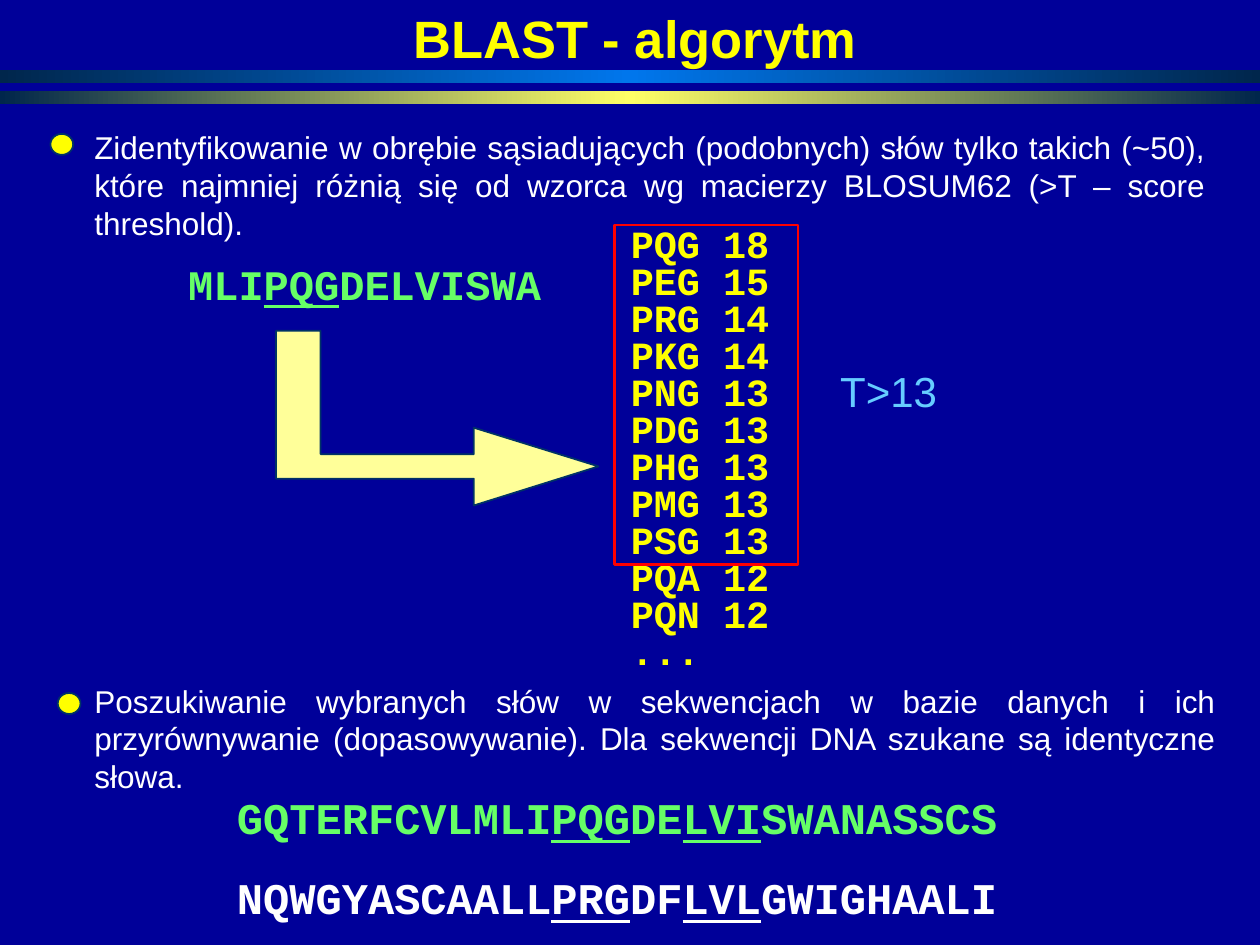
from copy import deepcopy
from dataclasses import dataclass

from pptx import Presentation
from pptx.dml.color import RGBColor
from pptx.enum.shapes import MSO_SHAPE
from pptx.enum.text import PP_ALIGN
from pptx.oxml.ns import qn
from pptx.util import Pt

RECTANGLE, OVAL = MSO_SHAPE.RECTANGLE, MSO_SHAPE.OVAL
LEFT, CENTER, JUSTIFY = PP_ALIGN.LEFT, PP_ALIGN.CENTER, PP_ALIGN.JUSTIFY


@dataclass(frozen=True)
class Theme:
    background: RGBColor = RGBColor(0x00, 0x00, 0x99)
    yellow: RGBColor = RGBColor(0xFF, 0xFF, 0x00)
    white: RGBColor = RGBColor(0xFF, 0xFF, 0xFF)
    green: RGBColor = RGBColor(0x66, 0xFF, 0x66)
    sky: RGBColor = RGBColor(0x66, 0xCC, 0xFF)
    red: RGBColor = RGBColor(0xFF, 0x00, 0x00)
    cream: RGBColor = RGBColor(0xFF, 0xFF, 0x99)
    outline: RGBColor = RGBColor(0x00, 0x33, 0x66)
    bar_edge: RGBColor = RGBColor(0x00, 0x26, 0x4C)
    bar_blue: RGBColor = RGBColor(0x00, 0x76, 0xEC)
    bar_yellow: RGBColor = RGBColor(0xFF, 0xFF, 0x66)
    sans: str = "Arial"
    mono: str = "Courier New"
    title: int = 30
    query: int = 24
    words: int = 22
    body: int = 18
    hits: int = 25


theme = Theme()

presentation = Presentation()
presentation.slide_width, presentation.slide_height = Pt(720), Pt(540)
slide = presentation.slides.add_slide(presentation.slide_layouts[6])
slide.background.fill.solid()
slide.background.fill.fore_color.rgb = theme.background
shapes = slide.shapes


def add_text(box, lines, size, font, align=LEFT, before=0, spacing=None,
             bold=False, inset=7.2, wrap=True):
    """Each line is (color, segments); every second segment is underlined."""
    frame = shapes.add_textbox(*map(Pt, box)).text_frame
    frame.word_wrap = wrap
    frame.margin_left = frame.margin_right = Pt(inset)
    for row, (color, segments) in enumerate(lines):
        paragraph = frame.add_paragraph() if row else frame.paragraphs[0]
        paragraph.alignment = align
        paragraph.space_before = Pt(before)
        paragraph.line_spacing = spacing
        for index, segment in enumerate(segments):
            run = paragraph.add_run()
            run.text = segment
            run.font.name, run.font.size = font, Pt(size)
            run.font.bold = bold
            run.font.underline = index % 2 == 1
            run.font.color.rgb = color


def paint(shape, fill, line, width):
    shape.shadow.inherit = False
    if fill is None:
        shape.fill.background()
    else:
        shape.fill.solid()
        shape.fill.fore_color.rgb = fill
    shape.line.color.rgb = line
    shape.line.width = Pt(width)


# Title
add_text((229, 0, 268, 43), [(theme.yellow, ["BLAST - algorytm"])],
         theme.title, theme.sans, CENTER, before=7.5, bold=True, wrap=False)

# Gradient bars under the title
for top, glow in ((39.8, theme.bar_blue), (52, theme.bar_yellow)):
    bar = shapes.add_shape(RECTANGLE, 0, Pt(top), Pt(720), Pt(7.4))
    bar.shadow.inherit = False
    bar.line.fill.background()
    bar.fill.gradient()
    bar.fill.gradient_angle = 0
    stop_list = bar._element.spPr.find(qn("a:gradFill")).find(qn("a:gsLst"))
    stop_list.append(deepcopy(stop_list[0]))
    colors = (theme.bar_edge, glow, theme.bar_edge)
    for index, (stop, color) in enumerate(zip(bar.fill.gradient_stops, colors)):
        stop.position = index / 2
        stop.color.rgb = color

# Query sequence
add_text((107.5, 144, 226, 36), [(theme.green, ["MLI", "PQG", "DELVISWA"])],
         theme.query, theme.mono, before=15, bold=True, inset=0)

# Neighbouring words with their scores
scored_words = ["PQG 18", "PEG 15", "PRG 14", "PKG 14", "PNG 13", "PDG 13",
                "PHG 13", "PMG 13", "PSG 13", "PQA 12", "PQN 12", "..."]
add_text((360.5, 127.5, 121, 260.5), [(theme.yellow, [word]) for word in scored_words],
         theme.words, theme.mono, spacing=0.8, bold=True, inset=0)

# The two steps, each with its bullet
steps = [
    ((46.8, 69.8, 649, 72), (28.8, 76.5),
     "Zidentyfikowanie w obrębie sąsiadujących (podobnych) słów tylko takich (~50), "
     "które najmniej różnią się od wzorca wg macierzy BLOSUM62 (>T – score threshold)."),
    ((46.8, 386, 655, 72), (33, 396),
     "Poszukiwanie wybranych słów w sekwencjach w bazie danych i ich przyrównywanie "
     "(dopasowywanie). Dla sekwencji DNA szukane są identyczne słowa."),
]
for box, (left, top), step in steps:
    add_text(box, [(theme.white, [step])], theme.body, theme.sans, JUSTIFY)
    bullet = shapes.add_shape(OVAL, Pt(left), Pt(top), Pt(13), Pt(12))
    paint(bullet, theme.yellow, theme.outline, 1)

# Score threshold and the words that pass it
add_text((473, 205.2, 70, 36), [(theme.sky, ["T>13"])], theme.query, theme.sans, wrap=False)
threshold_frame = shapes.add_shape(RECTANGLE, Pt(351), Pt(128.7), Pt(105), Pt(194))
paint(threshold_frame, None, theme.red, 1.5)

# Bent arrow from the query to the words
outline = [(183.2, 189), (183.2, 259.5), (270.8, 259.5), (270.8, 244.4), (342, 266.5),
           (270.8, 288.8), (270.8, 273.5), (157.8, 273.5), (157.8, 189)]
builder = shapes.build_freeform(Pt(outline[0][0]), Pt(outline[0][1]))
builder.add_line_segments([(Pt(x), Pt(y)) for x, y in outline[1:]], close=True)
paint(builder.convert_to_shape(), theme.cream, theme.outline, 1)

# Matching sequences from the database
add_text((135.4, 448.5, 437, 83),
         [(theme.green, ["GQTERFCVLMLI", "PQG", "DE", "LVI", "SWANASSCS"]),
          (theme.white, ["NQWGYASCAALL", "PRG", "DF", "LVL", "GWIGHAALI"])],
         theme.hits, theme.mono, before=15.6, bold=True, inset=0)

presentation.save("out.pptx")
